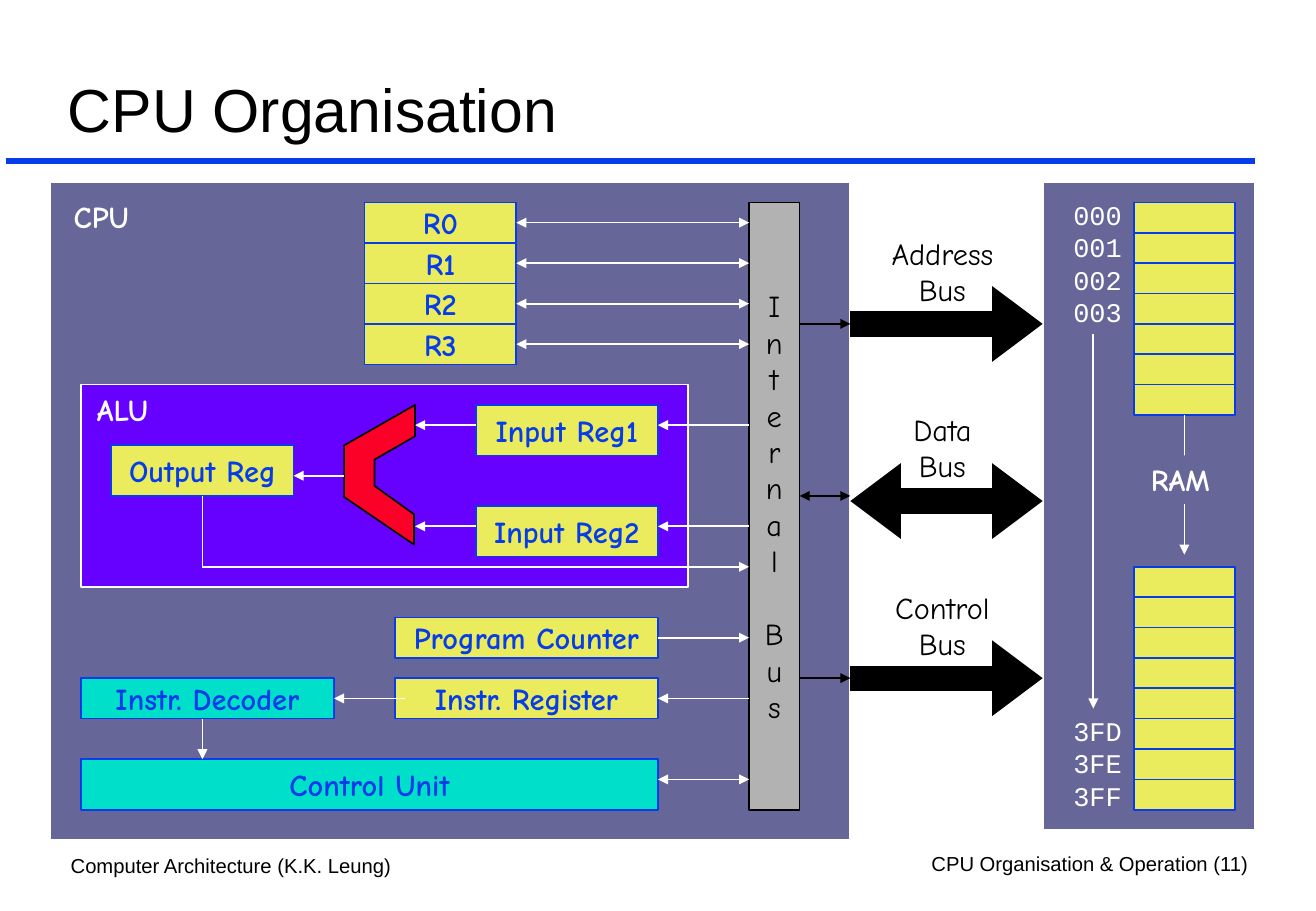
"""Build the CPU Organisation slide."""
from dataclasses import dataclass

from lxml.etree import SubElement
from pptx import Presentation
from pptx.dml.color import RGBColor
from pptx.enum.shapes import MSO_CONNECTOR as Connector, MSO_SHAPE as Preset
from pptx.enum.text import MSO_ANCHOR as Anchor, PP_ALIGN as Align
from pptx.oxml.ns import qn
from pptx.util import Pt

SCALE = 7620


@dataclass(frozen=True)
class Theme:
    """Colours, fonts and sizes of the slide."""
    blue: str = "063DE8"
    panel: str = "666699"
    alu: str = "6600FF"
    register: str = "EAEC5E"
    control: str = "00DFCA"
    operator: str = "FC0128"
    bus: str = "B2B2B2"
    black: str = "000000"
    white: str = "FFFFFF"
    plain: str = "Arial"
    comic: str = "Comic Neue"
    mono: str = "Courier New"
    title: int = 36
    label: int = 18
    address: int = 16
    footer: int = 12
    thin: int = 1
    rule: int = 4
    thick: int = 15


THEME = Theme()


def px(*values):
    """Turn pixel lengths into EMU."""
    return [value * SCALE for value in values]


def apply(target, values):
    """Set every attribute named in a dict."""
    for name, value in values.items():
        setattr(target, name, value)


def write(shape, text, color, size=THEME.label, font=THEME.comic, bold=False,
          align=Align.LEFT, anchor=Anchor.TOP, wrap=True):
    """Fill a shape with formatted text, one paragraph a line."""
    frame = shape.text_frame
    left, top = px(12, 6)
    frame.text = text
    apply(frame, {"word_wrap": wrap, "vertical_anchor": anchor,
                  "margin_left": left, "margin_right": left,
                  "margin_top": top, "margin_bottom": top})
    for paragraph in frame.paragraphs:
        paragraph.alignment = align
        apply(paragraph.font, {"name": font, "size": Pt(size), "bold": bold})
        paragraph.font.color.rgb = RGBColor.from_string(color)


def paint(shape, fill, line):
    """Give a shape its fill and outline."""
    shape.shadow.inherit = False
    shape.fill.solid()
    shape.fill.fore_color.rgb = RGBColor.from_string(fill)
    shape.line.color.rgb = RGBColor.from_string(line)
    shape.line.width = Pt(THEME.thin)


def add_text(slide, box, text, color, **format_values):
    """Add a text box."""
    shape = slide.shapes.add_textbox(*px(*box))
    write(shape, text, color, **format_values)
    return shape


def add_box(slide, sites, box, fill, line, text="", color=THEME.blue, bold=True):
    """Add a rectangle and record the middles of its sides."""
    shape = slide.shapes.add_shape(Preset.RECTANGLE, *px(*box))
    paint(shape, fill, line)
    left, top, width, height = box
    x, y = left + width // 2, top + height // 2
    middles = [(x, top), (left, y), (x, top + height), (left + width, y)]
    for index, middle in enumerate(middles):
        sites[middle] = (shape, index)
    if text:
        write(shape, text, color, bold=bold, align=Align.CENTER,
              anchor=Anchor.MIDDLE, wrap=False)
    return shape


def add_line(slide, sites, start, end, heads="", color=THEME.white,
             width=THEME.thin, length="med"):
    """Add a line with arrowheads at '<' and '>', joined where it meets a side."""
    line = slide.shapes.add_connector(Connector.STRAIGHT, *px(*start, *end))
    line.line.color.rgb = RGBColor.from_string(color)
    line.line.width = Pt(width)
    for point, connect in ((start, line.begin_connect), (end, line.end_connect)):
        if point in sites:
            connect(*sites[point])
    properties = line._element.spPr
    outline = properties.find(qn("a:ln"))
    for mark, tag in (("<", "a:headEnd"), (">", "a:tailEnd")):
        if mark in heads:
            SubElement(outline, qn(tag), type="triangle", w="med", len=length)
    SubElement(properties, qn("a:effectLst"))


def add_frame(slide):
    """Add the title, the rule below it and the footers."""
    title = slide.shapes.title
    left, top, width, height = px(55, 37, 1188, 112)
    apply(title, {"left": left, "top": top, "width": width, "height": height})
    write(title, "CPU Organisation", THEME.black, THEME.title, THEME.plain,
          anchor=Anchor.BOTTOM)
    add_line(slide, {}, (6, 159), (1240, 159), color=THEME.blue, width=THEME.rule)
    for box, text, align in (
            ((58, 837, 443, 36), "Computer Architecture (K.K. Leung)", Align.LEFT),
            ((813, 835, 432, 36), "CPU Organisation & Operation (11)", Align.RIGHT)):
        add_text(slide, box, text, THEME.black, size=THEME.footer,
                 font=THEME.plain, align=align)


def add_memory(slide, sites):
    """Add the RAM panel with its cells and addresses."""
    add_box(slide, sites, (1030, 180, 210, 640), THEME.panel, THEME.white)
    for top, count in ((200, 7), (560, 8)):
        for row in range(count):
            add_box(slide, sites, (1120, top + 30 * row, 100, 30),
                    THEME.register, THEME.blue)
    add_line(slide, sites, (1170, 410), (1170, 548), ">")
    label = add_text(slide, (1125, 450, 90, 48), "RAM", THEME.white, bold=True)
    label.fill.solid()
    label.fill.fore_color.rgb = RGBColor.from_string(THEME.panel)
    for box, text in (((1030, 190, 90, 140), "000\n001\n002\n003"),
                      ((1030, 700, 90, 108), "3FD\n3FE\n3FF")):
        addresses = add_text(slide, box, text, THEME.white, size=THEME.address,
                             font=THEME.mono, align=Align.RIGHT)
        for paragraph in addresses.text_frame.paragraphs:
            paragraph.line_spacing = Pt(19.2)
    add_line(slide, sites, (1080, 330), (1080, 700), ">")


def add_cpu(slide, sites):
    """Add the CPU and ALU panels with their units."""
    for box, fill, spot, text in (
            ((50, 180, 790, 650), THEME.panel, (61, 190, 110, 48), "CPU"),
            ((80, 380, 600, 200), THEME.alu, (84, 381, 110, 48), "ALU")):
        add_box(slide, sites, box, fill, THEME.white)
        add_text(slide, spot, text, THEME.white, bold=True)
    units = [((360, 200 + 40 * row, 150, 40), THEME.register, f"R{row}")
             for row in range(4)]
    units += [
        ((390, 610, 260, 40), THEME.register, "Program Counter"),
        ((390, 670, 260, 40), THEME.register, "Instr. Register"),
        ((110, 440, 180, 50), THEME.register, "Output Reg"),
        ((470, 400, 180, 50), THEME.register, "Input Reg1"),
        ((470, 500, 180, 50), THEME.register, "Input Reg2"),
        ((80, 670, 250, 40), THEME.control, "Instr. Decoder"),
        ((80, 750, 570, 50), THEME.control, "Control Unit")]
    for box, fill, text in units:
        add_box(slide, sites, box, fill, THEME.blue, text)
    bus = add_box(slide, sites, (740, 200, 50, 600), THEME.bus, THEME.black,
                  "\n".join("InternalBus"), THEME.black, bold=False)
    bus.text_frame.paragraphs[len("Internal")].space_before = Pt(21.6)
    builder = slide.shapes.build_freeform(340, 491, scale=SCALE)
    builder.add_line_segments([(340, 440), (410, 400), (410, 431), (370, 454),
                               (370, 480), (409, 508), (409, 538)])
    paint(builder.convert_to_shape(), THEME.operator, THEME.black)


def add_signals(slide, sites):
    """Add the white arrows inside the CPU."""
    for row in range(4):
        y = 220 + 40 * row
        add_line(slide, sites, (510, y), (740, y), "<>")
    for y, heads in ((420, "<"), (520, "<"), (630, ">"), (690, "<"), (770, "<>")):
        add_line(slide, sites, (650, y), (740, y), heads)
    for start, end, heads in (
            ((410, 420), (470, 420), "<"), ((410, 520), (470, 520), "<"),
            ((290, 470), (340, 470), "<"), ((200, 560), (740, 560), ">"),
            ((200, 560), (200, 490), ""), ((330, 690), (400, 690), "<"),
            ((200, 750), (200, 710), "<")):
        add_line(slide, sites, start, end, heads)


def add_external_buses(slide, sites):
    """Add the three labelled buses between CPU and RAM."""
    for name, top, thick_y, thin_y, heads in (
            ("Address", 226, 320, 320, ">"), ("Data", 400, 495, 490, "<>"),
            ("Control", 576, 670, 670, ">")):
        add_line(slide, sites, (840, thick_y), (1030, thick_y), heads,
                 THEME.black, THEME.thick, "sm")
        add_line(slide, sites, (790, thin_y), (840, thin_y), heads, THEME.black)
        add_text(slide, (860, top, 142, 84), f"{name}\nBus", THEME.black,
                 align=Align.CENTER)


def main():
    """Build and save the presentation."""
    presentation = Presentation()
    width, height = px(1300, 900)
    apply(presentation, {"slide_width": width, "slide_height": height})
    slide = presentation.slides.add_slide(presentation.slide_layouts[5])
    sites = {}
    add_frame(slide)
    add_cpu(slide, sites)
    add_memory(slide, sites)
    add_signals(slide, sites)
    add_external_buses(slide, sites)
    presentation.save("out.pptx")


if __name__ == "__main__":
    main()
